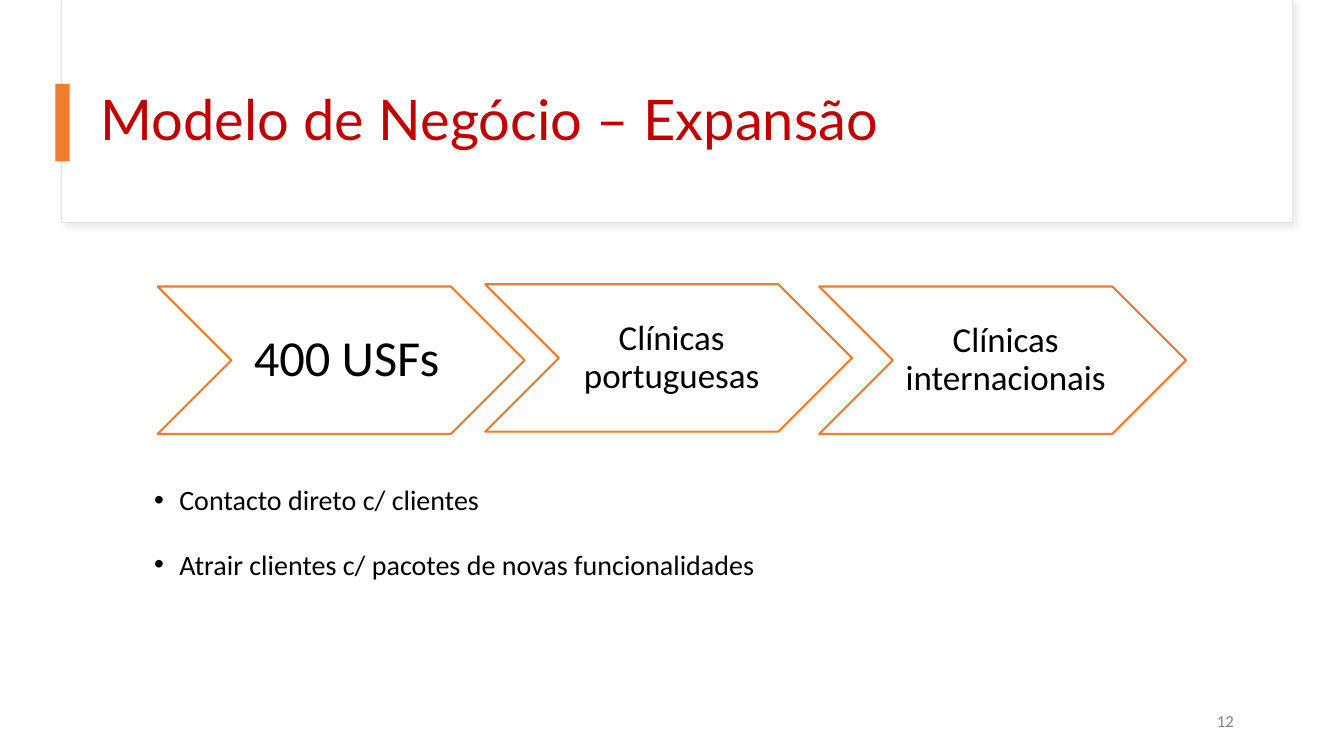
import dataclasses

import lxml.etree
import pptx
import pptx.dml.color
import pptx.enum.shapes
import pptx.enum.text
import pptx.oxml.ns
import pptx.util

ALIGN = pptx.enum.text.PP_ALIGN
ANCHOR = pptx.enum.text.MSO_ANCHOR
SHAPE = pptx.enum.shapes.MSO_SHAPE


@dataclasses.dataclass(frozen=True)
class Theme:
    white: str = "FFFFFF"
    black: str = "000000"
    red: str = "C00000"
    orange: str = "ED7D31"
    frame: str = "E1E1E1"
    shadow: str = "D9D9D9"
    gray: str = "808080"
    title_font: str = "Lato"
    body_font: str = "Calibri"
    title_size: int = 40
    lead_size: int = 36
    step_size: int = 25
    body_size: int = 20
    number_size: int = 12


def color(value):
    return pptx.dml.color.RGBColor.from_string(value)


def apply(target, values):
    for name, value in values.items():
        setattr(target, name, value)


def add_element(parent, tag, **attributes):
    return lxml.etree.SubElement(parent, pptx.oxml.ns.qn(tag), attributes)


class SlideBuilder:
    def __init__(self, presentation, theme):
        self.theme = theme
        self.width = presentation.slide_width
        self.height = presentation.slide_height
        self.slide = presentation.slides.add_slide(presentation.slide_layouts[6])

    def area(self, left, top, width, height):
        return (
            round(self.width * left / 100),
            round(self.height * top / 100),
            round(self.width * width / 100),
            round(self.height * height / 100),
        )

    def shape(self, kind, box, fill, line=None, line_width=0.75):
        shape = self.slide.shapes.add_shape(kind, *self.area(*box))
        shape.shadow.inherit = False
        shape.fill.solid()
        shape.fill.fore_color.rgb = color(fill)
        if line:
            shape.line.color.rgb = color(line)
            shape.line.width = pptx.util.Pt(line_width)
        else:
            shape.line.fill.background()
        return shape

    def drop_shadow(self, shape):
        effects = shape._element.spPr.find(pptx.oxml.ns.qn("a:effectLst"))
        outer = add_element(
            effects, "a:outerShdw", blurRad=str(pptx.util.Pt(4)),
            dist=str(pptx.util.Pt(3)), dir="2700000", algn="tl", rotWithShape="0",
        )
        tint = add_element(outer, "a:srgbClr", val=self.theme.shadow)
        add_element(tint, "a:alpha", val="50000")

    def text(self, box, lines, size, ink=None, font=None, frame=None, paragraph_format=None):
        text_frame = self.slide.shapes.add_textbox(*self.area(*box)).text_frame
        apply(text_frame, {"word_wrap": True, **(frame or {})})
        text_frame.text = "\n".join(lines)
        for paragraph in text_frame.paragraphs:
            apply(paragraph, paragraph_format or {})
            apply(paragraph.font, {"size": pptx.util.Pt(size)})
            for run in paragraph.runs:
                apply(run.font, {"name": font or self.theme.body_font, "size": pptx.util.Pt(size)})
                run.font.color.rgb = color(ink or self.theme.black)
        return text_frame

    def chevron(self, left, top, label, size, inset):
        width, height = 27.3, 19.5
        self.shape(SHAPE.CHEVRON, (left, top, width, height),
                   self.theme.white, self.theme.orange, 1.5)
        margin = pptx.util.Inches(0.05)
        self.text(
            (left + width * 0.2, top, width * 0.6, height), [label], size,
            frame={
                "vertical_anchor": ANCHOR.MIDDLE, "margin_left": pptx.util.Inches(inset),
                "margin_right": margin, "margin_top": margin, "margin_bottom": margin,
            },
            paragraph_format={"alignment": ALIGN.CENTER, "line_spacing": 0.9},
        )

    def bullets(self, box, lines):
        text_frame = self.text(box, lines, self.theme.body_size,
                               paragraph_format={"space_before": pptx.util.Pt(10)})
        indent = pptx.util.Inches(0.25)
        for paragraph in text_frame.paragraphs:
            properties = paragraph._p.get_or_add_pPr()
            properties.set("marL", str(indent))
            properties.set("indent", str(-indent))
            bullet_font = pptx.oxml.ns.qn("a:buFont")
            default_run = properties.find(pptx.oxml.ns.qn("a:defRPr"))
            font = lxml.etree.Element(bullet_font, typeface="Arial")
            mark = lxml.etree.Element(pptx.oxml.ns.qn("a:buChar"), char="•")
            default_run.addprevious(font)
            default_run.addprevious(mark)
        for paragraph in text_frame.paragraphs[1:]:
            paragraph.line_spacing = 1.5


def main():
    presentation = pptx.Presentation()
    presentation.slide_width = pptx.util.Inches(13.33)
    presentation.slide_height = pptx.util.Inches(7.5)
    theme = Theme()
    builder = SlideBuilder(presentation, theme)

    header = builder.shape(SHAPE.RECTANGLE, (4.6, 0, 91.6, 29.5), theme.white, theme.frame)
    builder.drop_shadow(header)
    builder.shape(SHAPE.RECTANGLE, (4.65, 0, 91.5, 29.35), theme.white)
    builder.text(
        (6.75, 7.6, 88.15, 17.2), ["Modelo de Negócio – Expansão"], theme.title_size,
        theme.red, theme.title_font, {"vertical_anchor": ANCHOR.MIDDLE}, {"line_spacing": 0.9},
    )
    builder.shape(SHAPE.RECTANGLE, (4.13, 11.1, 1.05, 10.25), theme.orange)
    builder.text(
        (70.05, 92.7, 22.5, 5.3), ["12"], theme.number_size, theme.gray,
        frame={"vertical_anchor": ANCHOR.MIDDLE},
        paragraph_format={"alignment": ALIGN.RIGHT, "space_after": pptx.util.Pt(6)},
    )

    steps = [
        (11.73, 37.9, "400 USFs", theme.lead_size, 0.16),
        (36.1, 37.6, "Clínicas portuguesas", theme.step_size, 0.11),
        (60.95, 37.9, "Clínicas internacionais", theme.step_size, 0.11),
    ]
    for step in steps:
        builder.chevron(*step)

    builder.bullets((10.73, 63.2, 83.4, 26), [
        "Contacto direto c/ clientes",
        "Atrair clientes c/ pacotes de novas funcionalidades",
    ])
    presentation.save("out.pptx")


if __name__ == "__main__":
    main()
